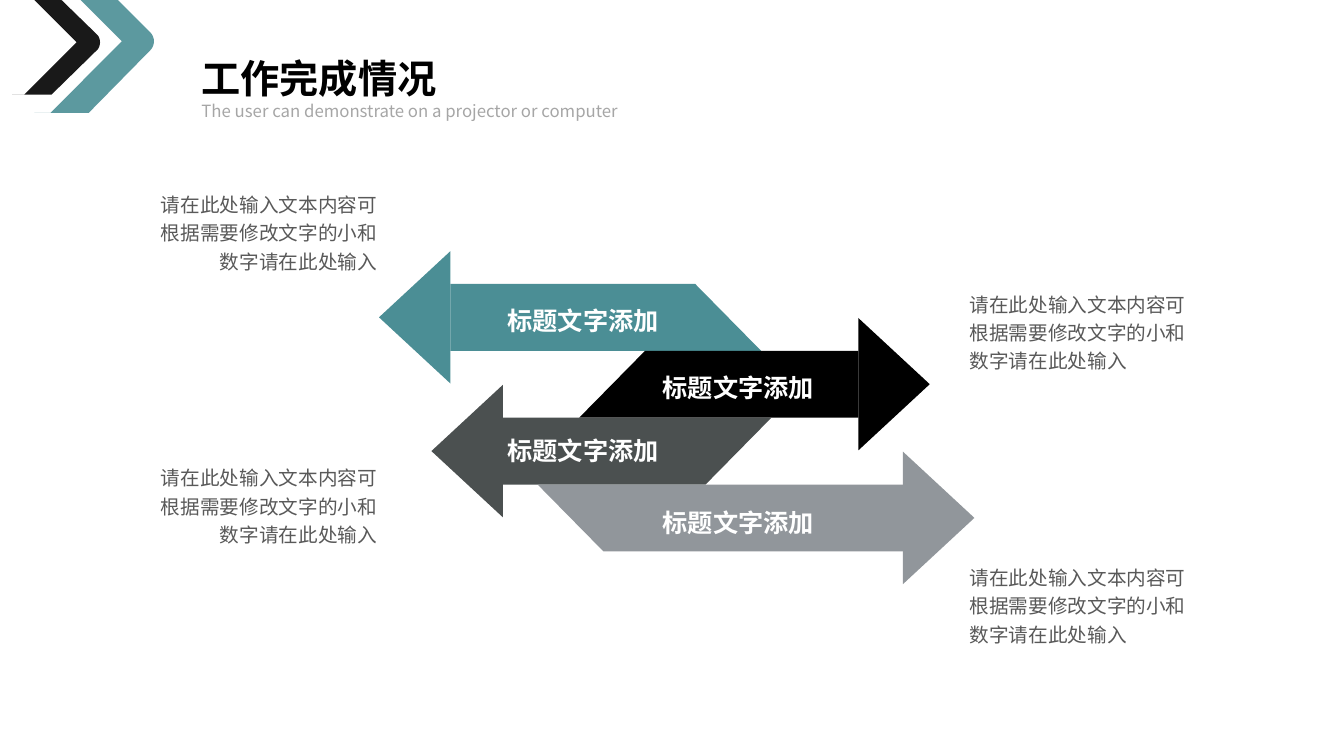
from lxml import etree
from pptx import Presentation
from pptx import util as u
from pptx.dml.color import RGBColor
from pptx.enum import text
from pptx.oxml.ns import qn

TEAL = RGBColor(0x4B, 0x8E, 0x95)
BLACK = RGBColor(0, 0, 0)
SLATE = RGBColor(0x4B, 0x50, 0x50)
GRAY = RGBColor(0x91, 0x96, 0x9B)
WHITE = RGBColor(0xFF, 0xFF, 0xFF)
BODY = RGBColor(0x59, 0x59, 0x59)
PALE = RGBColor(0xA6, 0xA6, 0xA6)

COLS, ROWS = 160, 90
TOP, BAND = 33.8, 7.96
HEAD, WING, SLANT = 8.5, 7.88, 7.84
LEFT, MID, RIGHT = text.PP_ALIGN.LEFT, text.PP_ALIGN.CENTER, text.PP_ALIGN.RIGHT
NOTE = "请在此处输入文本内容可根据需要修改文字的小和数字请在此处输入"


def bend(a, b, c, d, steps=10):
    points = []
    for i in range(steps + 1):
        t = i / steps
        s = 1 - t
        mix = (s ** 3, 3 * s * s * t, 3 * s * t * t, t ** 3)
        points.append(tuple(sum(m * p[k] for m, p in zip(mix, (a, b, c, d))) for k in (0, 1)))
    return points


class Deck:
    font = "Noto Sans CJK JP"

    def __init__(self):
        self.show = Presentation()
        self.show.slide_width = u.Inches(13.33)
        self.show.slide_height = u.Inches(7.5)
        self.slide = self.show.slides.add_slide(self.show.slide_layouts[6])

    def x(self, col):
        return round(self.show.slide_width * col / COLS)

    def y(self, row):
        return round(self.show.slide_height * row / ROWS)

    def words(self, line, left, top, wide, high, size, color,
              align=LEFT, bold=False, space=None, wrap=True):
        box = self.slide.shapes.add_textbox(self.x(left), self.y(top), self.x(wide), self.y(high))
        frame = box.text_frame
        frame.word_wrap = wrap
        frame.auto_size = text.MSO_AUTO_SIZE.SHAPE_TO_FIT_TEXT
        para = frame.paragraphs[0]
        para.alignment = align
        para.line_spacing = space
        run = para.add_run()
        run.text = line
        run.font.size = u.Pt(size)
        run.font.bold = bold
        run.font.name = self.font
        run.font.color.rgb = color
        east = etree.SubElement(run._r.rPr, qn("a:ea"))
        east.set("typeface", self.font)

    def outline(self, points, color, alpha=None):
        spots = [(self.x(col), self.y(row)) for col, row in points]
        pen = self.slide.shapes.build_freeform(*spots[0])
        pen.add_line_segments(spots[1:], close=True)
        shape = pen.convert_to_shape()
        shape.shadow.inherit = False
        shape.fill.solid()
        shape.fill.fore_color.rgb = color
        shape.line.fill.background()
        if alpha:
            tint = shape._element.spPr.find(qn("a:solidFill"))[0]
            etree.SubElement(tint, qn("a:alpha")).set("val", str(alpha * 1000))

    def arrow(self, band, tip, tail, color):
        way = 1 if tip > tail else -1
        top = TOP + band * BAND
        low = top + BAND
        mid = top + BAND / 2
        neck = tip - way * HEAD
        cut = tail + way * SLANT
        upper, lower = (cut, tail) if band < 2 else (tail, cut)
        self.outline([(neck, top), (upper, top), (lower, low), (neck, low)], color)
        self.outline([(tip, mid), (neck, mid - WING), (neck, mid + WING)], color)

    def label(self, left, top):
        self.words("标题文字添加", left, top, 29.4, 5.28, 18, WHITE, MID, True, 1.2)

    def note(self, left, top, align):
        self.words(NOTE, left, top, 29.04, 11.4, 14, BODY, align, space=1.2)


def main():
    deck = Deck()
    arrows = (
        (45.12, 90.6, TEAL, 54.72, 35.04),
        (110.68, 68.96, BLACK, 73.2, 42.96),
        (51.36, 91.84, SLATE, 54.72, 50.52),
        (116, 64, GRAY, 73.2, 59.04),
    )
    for band, (tip, tail, color, left, top) in enumerate(arrows):
        deck.arrow(band, tip, tail, color)
        deck.label(left, top)

    for left, top, align in ((17.04, 21.84, RIGHT), (114.24, 33.72, LEFT),
                             (17.04, 54.36, RIGHT), (114.24, 66.24, LEFT)):
        deck.note(left, top, align)

    deck.words("工作完成情况", 22.8, 5.88, 30.72, 6.84, 28, BLACK, bold=True, wrap=False)
    deck.words("The user can demonstrate on a projector or computer",
               22.8, 11.4, 66.48, 3.6, 12, PALE)

    deck.outline([(4.08, 13.44), (10.56, 13.44),
                  *bend((17.88, 6), (18.48, 5.4), (18.48, 4.44), (17.88, 3.84)),
                  (14.04, 0), (9.6, 0), (14.52, 4.92), (6, 13.44)], TEAL, 90)
    deck.outline([(1.44, 11.28), (6.12, 11.28),
                  *bend((11.64, 5.88), (12, 5.4), (12, 4.68), (11.64, 4.2)),
                  (7.32, 0), (4.08, 0), (9.12, 5.04), (2.88, 11.28)], BLACK, 90)
    deck.show.save("out.pptx")


if __name__ == "__main__":
    main()
